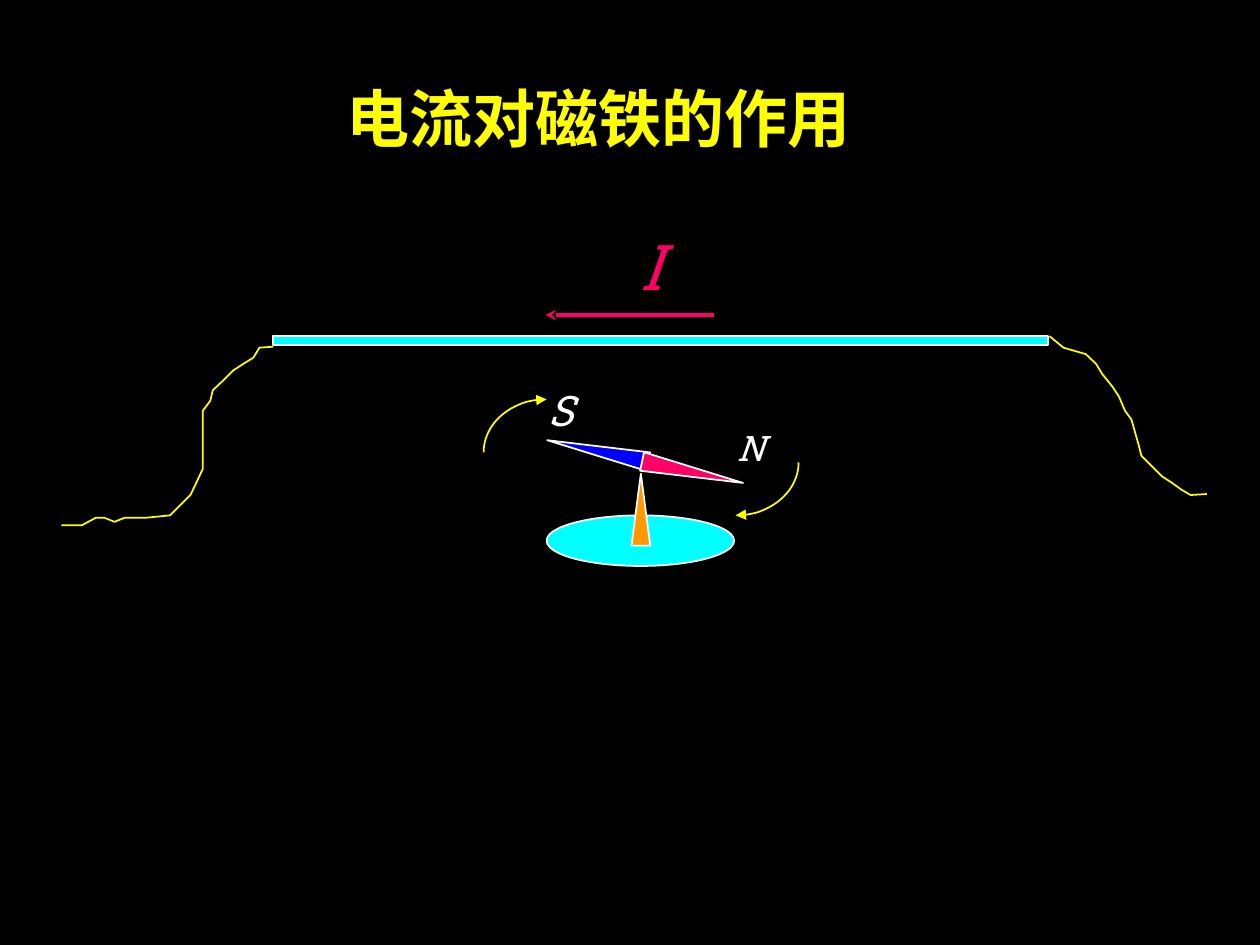
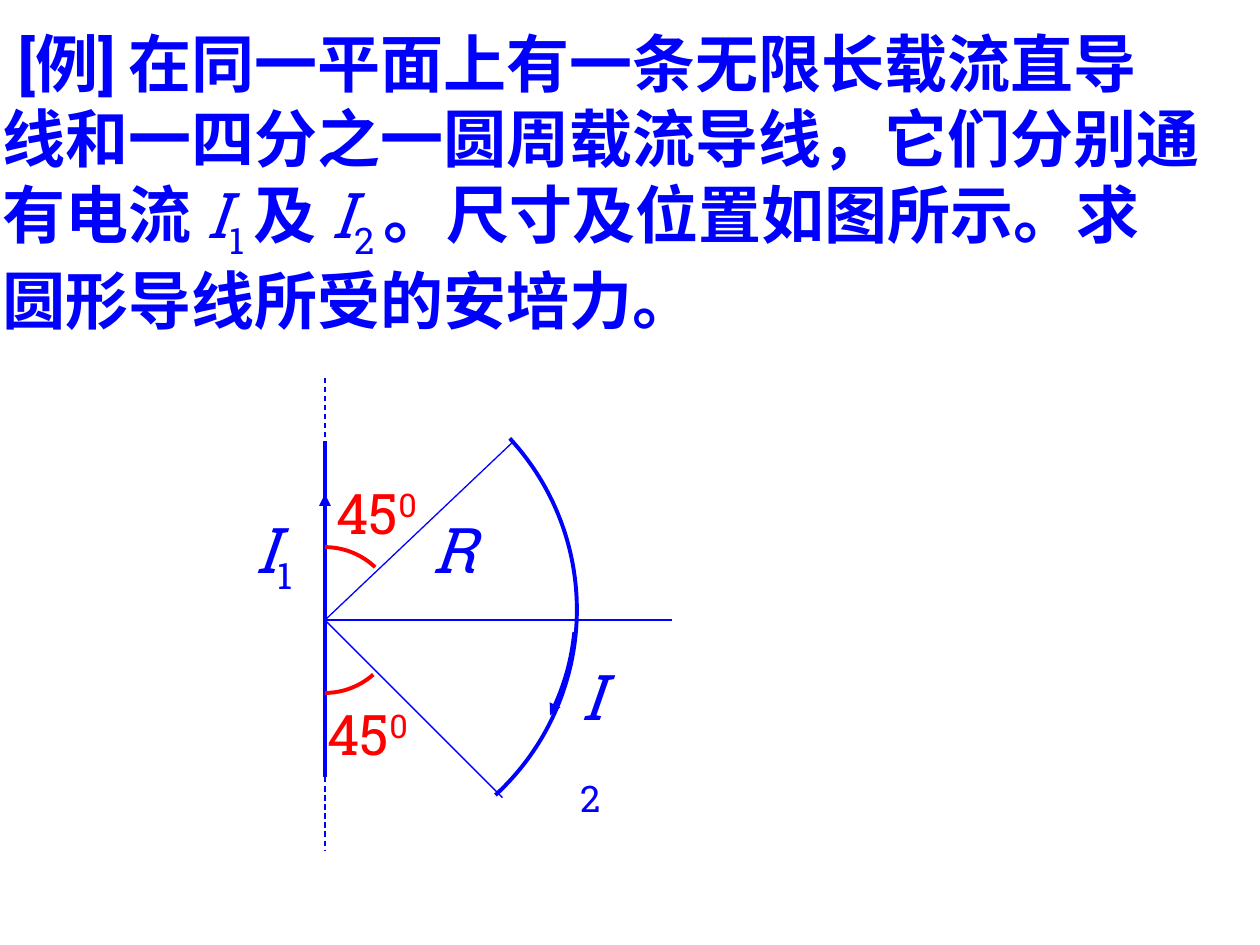
import pptx
import pptx.dml.color
import pptx.enum.dml
import pptx.enum.shapes
import pptx.enum.text
import pptx.oxml.ns
import pptx.util
from lxml import etree

Cm = pptx.util.Cm
SHAPE = pptx.enum.shapes.MSO_SHAPE
FONT = "Roboto Slab"
COLOURS = {
    "black": "000000", "white": "FFFFFF", "yellow": "FFFF00",
    "cyan": "00FFFF", "pink": "FF0066", "blue": "0000FF",
    "orange": "FF9900", "red": "FF0000",
}
RGB = {name: pptx.dml.color.RGBColor.from_string(h) for name, h in COLOURS.items()}
BASELINES = {"sub": "-25000", "sup": "30000"}


def write(sp, *lines, size=36, colour="blue", inset=(0.25, 0.13)):
    """Fill sp with lines; each line lists (text, style), style one of "", b, i, sub, sup."""
    tf = sp.text_frame
    tf.word_wrap = False
    tf.auto_size = pptx.enum.text.MSO_AUTO_SIZE.SHAPE_TO_FIT_TEXT
    tf.vertical_anchor = pptx.enum.text.MSO_ANCHOR.TOP
    tf.margin_left = tf.margin_right = Cm(inset[0])
    tf.margin_top = tf.margin_bottom = Cm(inset[1])
    for i, line in enumerate(lines):
        p = tf.add_paragraph() if i else tf.paragraphs[0]
        p.alignment = pptx.enum.text.PP_ALIGN.LEFT
        for words, style in line:
            r = p.add_run()
            r.text = words
            r.font.name = FONT
            r.font.size = pptx.util.Pt(size)
            r.font.color.rgb = RGB[colour]
            r.font.bold = style == "b"
            r.font.italic = style == "i"
            if style in BASELINES:
                r._r.get_or_add_rPr().set("baseline", BASELINES[style])


def draw(sp, line, width=1, fill=None, arrow=None, dashed=False):
    """Set outline and fill without shadow; arrow names the arrowhead at the end."""
    sp.line.color.rgb = RGB[line]
    sp.line.width = pptx.util.Pt(width)
    if dashed:
        sp.line.dash_style = pptx.enum.dml.MSO_LINE.DASH
    if arrow:
        ln = sp.line._get_or_add_ln()
        etree.SubElement(ln, pptx.oxml.ns.qn("a:tailEnd"), type=arrow)
    if not hasattr(sp, "fill"):
        etree.SubElement(sp._element.spPr, pptx.oxml.ns.qn("a:effectLst"))
        return
    sp.shadow.inherit = False
    if fill:
        sp.fill.solid()
        sp.fill.fore_color.rgb = RGB[fill]
    else:
        sp.fill.background()


prs = pptx.Presentation()
prs.slide_width, prs.slide_height = Cm(25.4), Cm(19.05)
title_only = prs.slide_layouts[5]
compass = prs.slides.add_slide(title_only)
problem = prs.slides.add_slide(title_only)
for s, colour, box in (
    (compass, "black", (6.73, 1.47, 10.67, 1.78)),
    (problem, "white", (-0.2, 0.36, 25.5, 6.58)),
):
    s.background.fill.solid()
    s.background.fill.fore_color.rgb = RGB[colour]
    title = s.shapes.title
    title.left, title.top, title.width, title.height = map(Cm, box)

write(compass.shapes.title, [("电流对磁铁的作用", "b")], colour="yellow")

statement = problem.shapes.title
write(
    statement,
    [("[例]\t在同一平面上有一条无限长载流直导", "b")],
    [("线和一四分之一圆周载流导线，它们分别通", "b")],
    [("有电流 ", "b"), ("I", "i"), ("1 ", "sub"), ("及 ", "b"), ("I", "i"),
     ("2 ", "sub"), ("。尺寸及位置如图所示。求", "b")],
    [("圆形导线所受的安培力。", "b")],
)
pPr = statement.text_frame.paragraphs[0]._p.get_or_add_pPr()
pPr.set("marL", "0")
pPr.set("indent", str(Cm(0.3)))
tabs = etree.SubElement(pPr, pptx.oxml.ns.qn("a:tabLst"))
etree.SubElement(tabs, pptx.oxml.ns.qn("a:tab"), pos=str(Cm(4.1)), algn="l")

# Bar, compass stand and needle: preset, box in cm, rotation, fill
for preset, box, rotation, fill in (
    (SHAPE.RECTANGLE, (5.51, 6.78, 15.62, 0.18), 0, "cyan"),
    (SHAPE.ISOSCELES_TRIANGLE, (11.86, 8.05, 0.38, 2.08), 282, "blue"),
    (SHAPE.ISOSCELES_TRIANGLE, (13.77, 8.48, 0.38, 2.08), 102, "pink"),
    (SHAPE.OVAL, (11.02, 10.39, 3.78, 1.02), 0, "cyan"),
    (SHAPE.ISOSCELES_TRIANGLE, (12.73, 9.55, 0.38, 1.45), 0, "orange"),
):
    sp = compass.shapes.add_shape(preset, *map(Cm, box))
    sp.rotation = rotation
    draw(sp, "white", fill=fill)

# Loose wires at the ends of the bar, in hundredths of a centimetre
left_wire = [
    (551, 699), (523, 701), (511, 721), (490, 734), (470, 747), (450, 767),
    (429, 787), (424, 808), (409, 828), (409, 945), (396, 973), (384, 998),
    (363, 1019), (343, 1039), (292, 1044), (251, 1044), (231, 1052),
    (211, 1044), (193, 1044), (165, 1059), (124, 1059),
]
right_wire = [
    (2116, 678), (2144, 701), (2189, 714), (2210, 734), (2222, 754),
    (2243, 780), (2256, 800), (2268, 828), (2281, 846), (2296, 899),
    (2301, 919), (2322, 940), (2342, 960), (2362, 973), (2380, 986),
    (2400, 998), (2433, 996),
]
for wire in (left_wire, right_wire):
    fb = compass.shapes.build_freeform(*wire[0], scale=Cm(0.01))
    fb.add_line_segments(wire[1:], close=False)
    draw(fb.convert_to_shape(), "yellow")

# Straight lines: the wire of the problem stands at x = wire_x
wire_x, axis_y = 6.55, 12.5
for s, ends, colour, width, arrow, dashed in (
    (compass, (14.4, 6.35, 11, 6.35), "pink", 2, "stealth", False),
    (problem, (wire_x, 8.89, wire_x, 15.67), "blue", 2.25, None, False),
    (problem, (wire_x, 13.13, wire_x, 9.96), "blue", 2.25, "triangle", False),
    (problem, (wire_x, 15.67, wire_x, 17.15), "blue", 0.75, None, True),
    (problem, (wire_x, 7.62, wire_x, 9.09), "blue", 0.75, None, True),
    (problem, (wire_x, axis_y, 10.36, 8.89), "blue", 0.75, None, False),
    (problem, (wire_x, axis_y, 10.13, 16.08), "blue", 0.75, None, False),
    (problem, (wire_x, axis_y, 13.54, axis_y), "blue", 0.75, None, False),
):
    cxn = s.shapes.add_connector(
        pptx.enum.shapes.MSO_CONNECTOR.STRAIGHT, *map(Cm, ends))
    draw(cxn, colour, width, arrow=arrow, dashed=dashed)

# Arcs: centre and radii in cm, start and end in degrees clockwise from the right
for s, cx, cy, rx, ry, start, end, colour, width, arrow in (
    (compass, 11.02, 9.12, 1.27, 1.07, 180, 270, "yellow", 1, "triangle"),
    (compass, 14.83, 9.32, 1.27, 1.07, 0, 90, "yellow", 1, "triangle"),
    (problem, wire_x, 12.29, 5.08, 5.08, 317.2, 47.4, "blue", 2.25, None),
    (problem, wire_x, 12.19, 5.06, 5.06, 6.3, 26.2, "blue", 2.25, "triangle"),
    (problem, wire_x, axis_y, 1.47, 1.47, 270, 313.6, "red", 2.25, None),
    (problem, wire_x, axis_y, 1.47, 1.47, 48.4, 90, "red", 2.25, None),
):
    sp = s.shapes.add_shape(
        SHAPE.ARC, Cm(cx - rx), Cm(cy - ry), Cm(2 * rx), Cm(2 * ry))
    # One adjustment unit is 100000 sixty-thousandths of a degree
    sp.adjustments[0], sp.adjustments[1] = start * 0.6, end * 0.6
    draw(sp, colour, width, arrow=arrow)

# Labels
angle = [("45", ""), ("0", "sup")]
for s, box, runs, fmt in (
    (compass, (12.65, 4.45, 0.91, 1.78), [("I", "i")], {"colour": "pink"}),
    (compass, (10.8, 7.62, 1.07, 1.27), [("S", "i")], {"colour": "white", "size": 24}),
    (compass, (14.61, 8.46, 1.02, 1.09), [("N", "i")], {"colour": "white", "size": 20}),
    (problem, (4.88, 10.16, 1.37, 2.01), [("I", "i"), ("1", "sub")], {}),
    (problem, (11.46, 13.13, 1.37, 2.01), [("I", "i"), ("2", "sub")], {}),
    (problem, (8.46, 10.16, 1.4, 1.78), [("R", "i")], {}),
    (problem, (6.6, 14.1, 1.8, 1.35), angle, {"colour": "red", "size": 32, "inset": (0, 0)}),
    (problem, (6.78, 9.65, 1.8, 1.35), angle, {"colour": "red", "size": 32, "inset": (0, 0)}),
):
    write(s.shapes.add_textbox(*map(Cm, box)), runs, **fmt)

prs.save("out.pptx")
